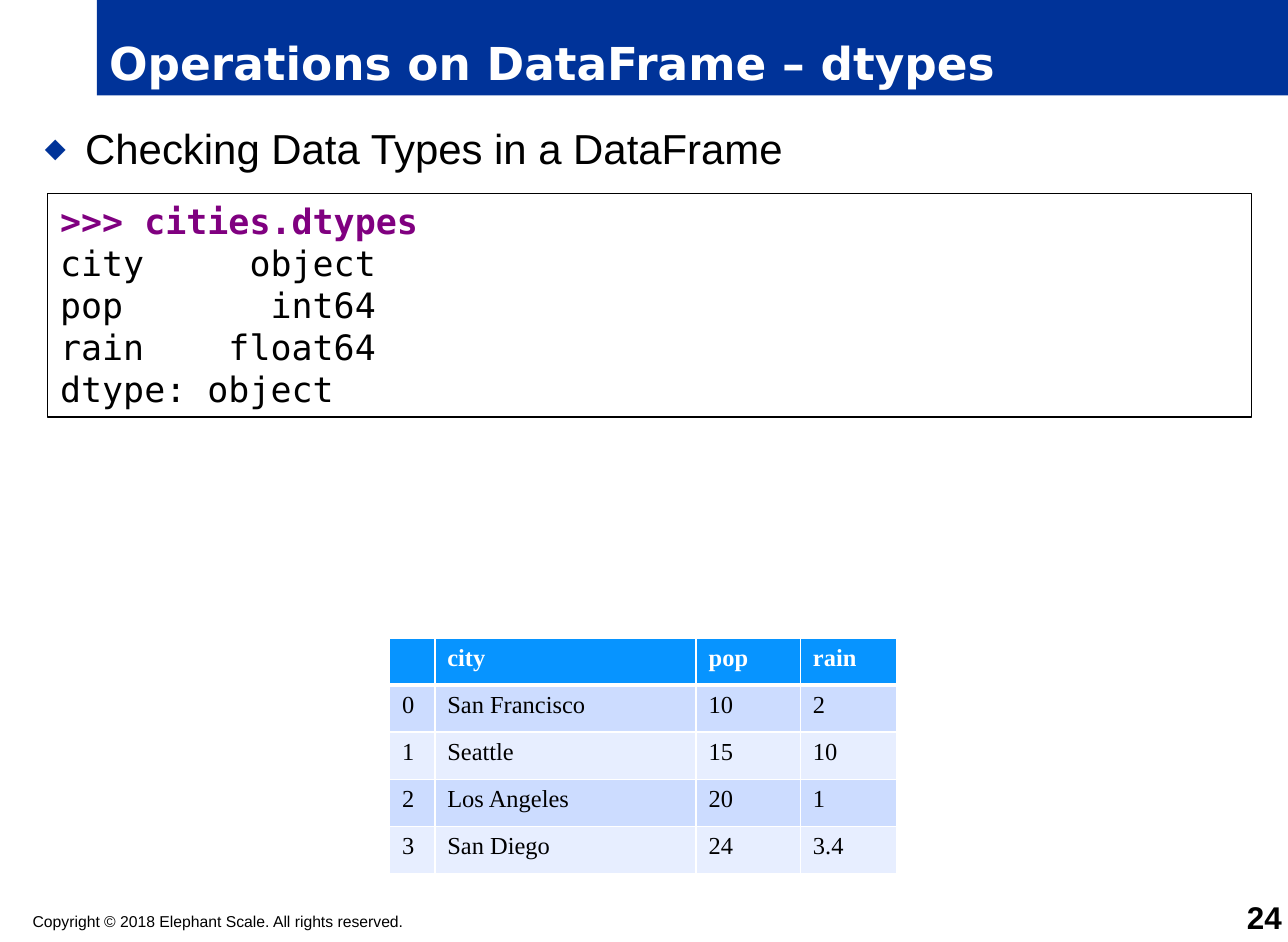
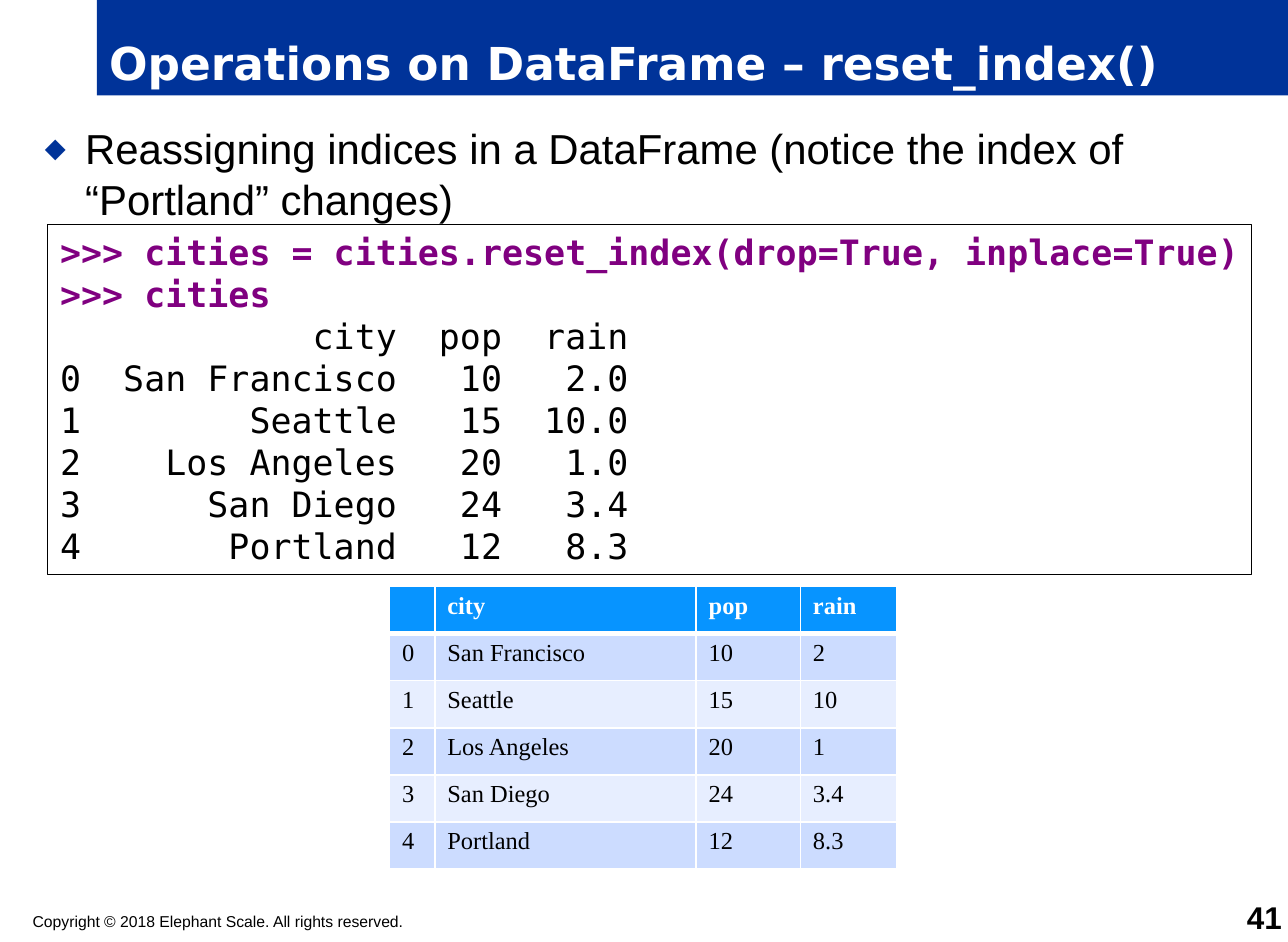
"""Build two slides about DataFrame operations on a grid of 41 columns by 30 rows."""
from lxml import etree
from pptx import Presentation
from pptx import util as u
from pptx.dml.color import RGBColor
from pptx.enum import shapes, text
from pptx.oxml.ns import qn

UNIT = u.Inches(0.25)
COLUMNS, ROWS = 41, 30
NAVY = RGBColor(0x00, 0x33, 0x99)
PURPLE = RGBColor(0x80, 0x00, 0x80)
BLACK = RGBColor(0x00, 0x00, 0x00)
WHITE = RGBColor(0xFF, 0xFF, 0xFF)
HEADER_BLUE = RGBColor(0x07, 0x94, 0xFF)
BANDS = (RGBColor(0xCC, 0xDC, 0xFF), RGBColor(0xE7, 0xEE, 0xFF))
INSETS = (0.4, 0.2, 0.4, 0.2)
CODE_INSETS = (0.4, 0.2, 0.2, 0.2)
CODE_LINE = 1.34
TABLE_COLUMNS = (1.44, 8.32, 3.32, 3.08)
TABLE_ROW = 1.5
HEADINGS = ("", "city", "pop", "rain")
CITIES = (
    ("San Francisco", "10", "2"),
    ("Seattle", "15", "10"),
    ("Los Angeles", "20", "1"),
    ("San Diego", "24", "3.4"),
    ("Portland", "12", "8.3"),
)
DTYPES_CODE = """\
>>> cities.dtypes
city     object
pop       int64
rain    float64
dtype: object"""
RESET_CODE = """\
>>> cities = cities.reset_index(drop=True, inplace=True)
>>> cities
            city  pop  rain
0  San Francisco   10   2.0
1        Seattle   15  10.0
2    Los Angeles   20   1.0
3      San Diego   24   3.4
4       Portland   12   8.3"""


def grid(*units):
    return [int(UNIT * unit) for unit in units]


def add_box(page, place, fill=None, line=None, insets=(0, 0, 0, 0),
            anchor=text.MSO_ANCHOR.TOP):
    if fill is None:
        box = page.shapes.add_textbox(*grid(*place))
    else:
        box = page.shapes.add_shape(shapes.MSO_SHAPE.RECTANGLE, *grid(*place))
        box.shadow.inherit = False
        box.fill.solid()
        box.fill.fore_color.rgb = fill
        if line is None:
            box.line.fill.background()
        else:
            box.line.color.rgb = line
            box.line.width = u.Pt(0.75)
    frame = box.text_frame
    frame.word_wrap = True
    frame.vertical_anchor = anchor
    (frame.margin_left, frame.margin_top,
     frame.margin_right, frame.margin_bottom) = grid(*insets)
    return frame


def add_span(para, words, size, font="Arial", color=BLACK, bold=False,
             align=text.PP_ALIGN.LEFT):
    para.alignment = align
    span = para.add_run()
    span.text = words
    span.font.size = u.Pt(size)
    span.font.name = font
    span.font.color.rgb = color
    span.font.bold = bold


def add_bullet(para, indent):
    settings = para._p.get_or_add_pPr()
    settings.set("marL", str(indent))
    settings.set("indent", str(-indent))
    color = etree.SubElement(settings, qn("a:buClr"))
    etree.SubElement(color, qn("a:srgbClr"), val=str(NAVY))
    etree.SubElement(settings, qn("a:buSzPct"), val="65000")
    etree.SubElement(settings, qn("a:buFont"), typeface="DejaVu Sans")
    etree.SubElement(settings, qn("a:buChar"), char="◆")


def add_frame(page, title, topic, number):
    band = add_box(page, (3.08, 0, COLUMNS - 3.08, 3.04), NAVY,
                   insets=INSETS, anchor=text.MSO_ANCHOR.BOTTOM)
    add_span(band.paragraphs[0], title, 26, "DejaVu Sans", WHITE, True)
    body = add_box(page, (1.04, 3.72, 38.96, 24.4), insets=INSETS)
    add_bullet(body.paragraphs[0], u.Inches(0.32))
    add_span(body.paragraphs[0], topic, 24)
    footer = add_box(page, (1.04, 29.04, 23.8, 0.6))
    add_span(footer.paragraphs[0],
             "Copyright © 2018 Elephant Scale. All rights reserved.", 9)
    corner = add_box(page, (38.4, 28.8, 2.4, 1), anchor=text.MSO_ANCHOR.BOTTOM)
    add_span(corner.paragraphs[0], number, 18, bold=True,
             align=text.PP_ALIGN.RIGHT)


def add_code(page, top, code):
    lines = code.split("\n")
    height = len(lines) * CODE_LINE + 0.42
    frame = add_box(page, (1.52, top, 38.32, height), WHITE, BLACK, CODE_INSETS)
    for index, line in enumerate(lines):
        para = frame.add_paragraph() if index else frame.paragraphs[0]
        prompt = line.startswith(">>>")
        add_span(para, line, 20, "DejaVu Sans Mono",
                 PURPLE if prompt else BLACK, prompt)


def add_borders(cell, top, bottom):
    settings = cell._tc.get_or_add_tcPr()
    sides = (("a:lnL", 1), ("a:lnR", 1), ("a:lnT", top), ("a:lnB", bottom))
    for index, (side, width) in enumerate(sides):
        line = etree.Element(qn(side), w=str(u.Pt(width)))
        fill = etree.SubElement(line, qn("a:solidFill"))
        etree.SubElement(fill, qn("a:srgbClr"), val=str(WHITE))
        settings.insert(index, line)


def fill_cell(cell, words, row):
    header = row == 0
    cell.fill.solid()
    cell.fill.fore_color.rgb = HEADER_BLUE if header else BANDS[(row - 1) % 2]
    add_borders(cell, 3 if row == 1 else 1, 3 if header else 1)
    para = cell.text_frame.paragraphs[0]
    if words:
        add_span(para, words, 14, "Times New Roman",
                 WHITE if header else BLACK, header)
    else:
        etree.SubElement(para._p, qn("a:endParaRPr"), sz="1400")


def add_city_table(page, top, cities):
    records = [HEADINGS] + [(str(i), *city) for i, city in enumerate(cities)]
    place = grid(12.4, top, sum(TABLE_COLUMNS), TABLE_ROW * len(records))
    table = page.shapes.add_table(len(records), len(HEADINGS), *place).table
    for column, width in zip(table.columns, grid(*TABLE_COLUMNS)):
        column.width = width
    for row, record in enumerate(records):
        for column, words in enumerate(record):
            fill_cell(table.cell(row, column), words, row)


def main():
    deck = Presentation()
    deck.slide_width, deck.slide_height = grid(COLUMNS, ROWS)
    slides = (
        ("dtypes", "Checking Data Types in a DataFrame", "24",
         6.16, DTYPES_CODE, 20.32, CITIES[:4]),
        ("reset_index()", "Reassigning indices in a DataFrame "
         "(notice the index of “Portland” changes)", "41",
         7.16, RESET_CODE, 18.68, CITIES),
    )
    for operation, topic, number, code_top, code, table_top, cities in slides:
        page = deck.slides.add_slide(deck.slide_layouts[6])
        add_frame(page, f"Operations on DataFrame – {operation}", topic, number)
        add_code(page, code_top, code)
        add_city_table(page, table_top, cities)
    deck.save("out.pptx")


if __name__ == "__main__":
    main()
